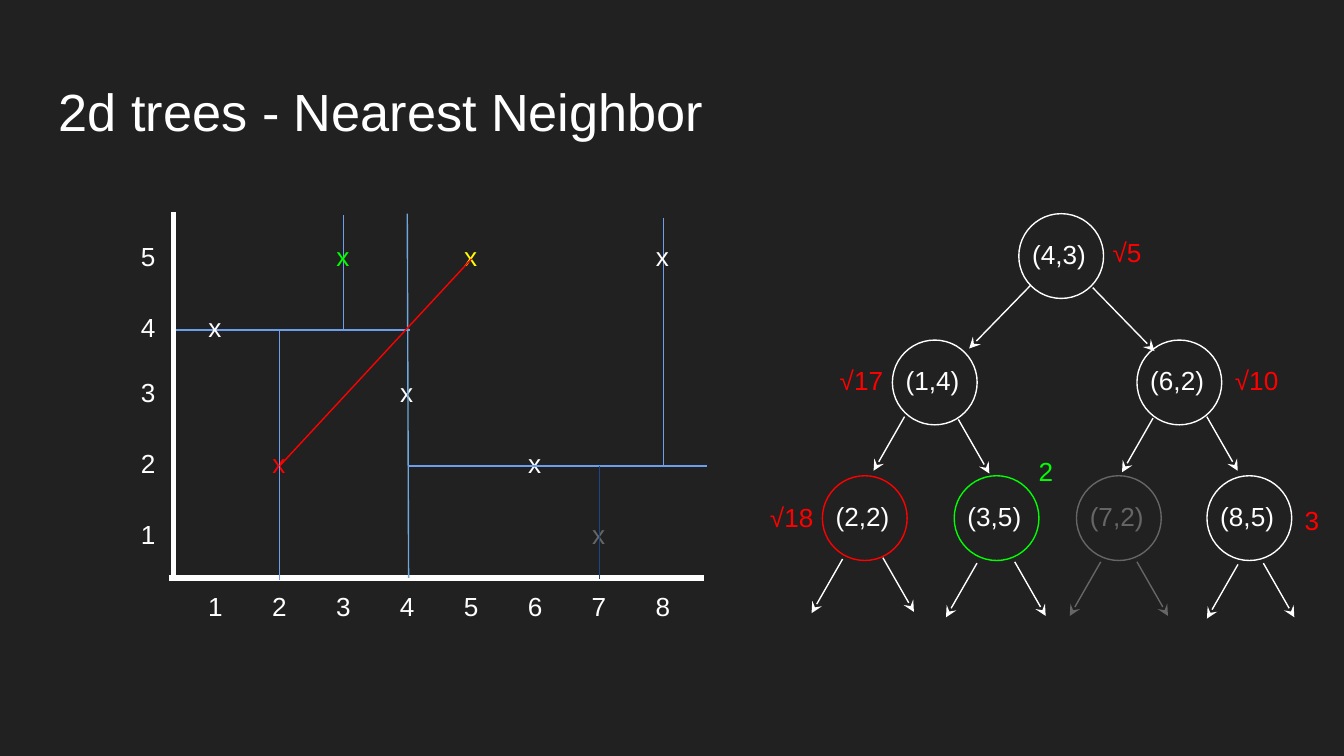
from lxml import etree
from pptx import Presentation
from pptx.dml.color import RGBColor
from pptx.enum.shapes import MSO_CONNECTOR, MSO_SHAPE
from pptx.enum.text import MSO_ANCHOR
from pptx.oxml.ns import qn
from pptx.util import Pt

LINE = MSO_CONNECTOR.STRAIGHT
OVAL = MSO_SHAPE.OVAL
TOP = MSO_ANCHOR.TOP

WHITE, RED, LIME, YELLOW = "FFFFFF", "FF0000", "00FF00", "FFFF00"
GREY, BLUE, SKY, NAVY = "666666", "6D9EEB", "6FA8DC", "1C4587"

ROWS = {1: 156.7, 2: 118.6, 3: 80.4, 4: 45.8, 5: 7.7}
POINTS = [
    (2, 2, RED), (4, 3, WHITE), (8, 5, WHITE), (7, 1, GREY),
    (6, 2, WHITE), (1, 4, WHITE), (3, 5, LIME), (5, 5, YELLOW),
]
NODES = [
    ("(4,3)", 140.8, 0.5, WHITE, WHITE, (6.5, 38.2), (39.6, 39.6), (33.1, 34)),
    ("(1,4)", 73.1, 68.2, WHITE, WHITE, (6.5, 41), (35.3, 42.5), (16.6, 29)),
    ("(6,2)", 204.1, 68.2, WHITE, WHITE, (8.6, 41.8), (37.4, 41), (16.6, 29)),
    ("(2,2)", 35.6, 140.9, RED, WHITE, (10.8, 44.6), (32.4, 43.9), (16.6, 29)),
    ("(3,5)", 106.2, 140.9, LIME, WHITE, (12.2, 46.8), (32.4, 46.1), (16.6, 29)),
    ("(7,2)", 171.7, 140.9, GREY, GREY, (13, 46.1), (32.4, 46.1), (16.6, 29)),
    ("(8,5)", 241.6, 140.9, WHITE, WHITE, (16.6, 47.5), (30.2, 46.8), (16.6, 29)),
]
NOTES = [
    ("√5", 184, 5.5, RED), ("√17", 37.8, 73.9, RED), ("√10", 249.5, 73.9, RED),
    ("√18", 0.4, 147.4, RED), ("2", 144.4, 122.9, LIME), ("3", 286.9, 148.8, RED),
]


def paint(code):
    return RGBColor.from_string(code)


def write(slide, text, x, y, w, h, size=14, color=WHITE):
    box = slide.shapes.add_textbox(Pt(x), Pt(y), Pt(w), Pt(h))
    frame = box.text_frame
    frame.word_wrap = True
    frame.vertical_anchor = TOP
    frame.margin_left = frame.margin_right = Pt(7.2)
    frame.margin_top = frame.margin_bottom = Pt(7.2)
    run = frame.paragraphs[0].add_run()
    run.text = text
    run.font.name = "Arial"
    run.font.size = Pt(size)
    run.font.color.rgb = paint(color)


def draw(slide, x1, y1, x2, y2, color=WHITE, width=0.75, arrow=False):
    link = slide.shapes.add_connector(LINE, Pt(x1), Pt(y1), Pt(x2), Pt(y2))
    link.line.color.rgb = paint(color)
    link.line.width = Pt(width)
    if arrow:
        edge = link.line._get_or_add_ln()
        etree.SubElement(edge, qn("a:tailEnd"), type="stealth", w="med", len="med")
    etree.SubElement(link._element.spPr, qn("a:effectLst"))


def title(slide, x, y, w, h):
    write(slide, "2d trees - Nearest Neighbor", x, y, w, h, size=28)


def plot(slide, x, y):
    def col(n):
        return 12.95 + 34.25 * n

    def row(n):
        return ROWS[n] + 17

    def rule(x1, y1, x2, y2, color=BLUE, width=0.75):
        draw(slide, x + x1, y + y1, x + x2, y + y2, color, width)

    rule(col(3), 1.2, col(3), row(4))
    rule(23, row(4), 151.2, row(4))
    rule(col(8), 2.6, col(8), row(2))
    rule(24.5, -0.2, 24.5, 194.9, WHITE, 3)
    rule(22.3, 195.6, 308.9, 195.6, WHITE, 3)

    for n in range(1, 9):
        write(slide, str(n), x + col(n) - 11.2, y + 194.9, 22.3, 38.2)
    for n, top in ROWS.items():
        write(slide, str(n), x, y + top, 22.3, 38.2)
    for a, b, color in POINTS:
        write(slide, "x", x + col(a) - 11, y + ROWS[b], 21.6, 28.8, color=color)

    rule(149.8, 0.5, 150.5, 195.6, SKY)
    rule(col(4), row(2), 310.3, row(2))
    rule(col(2), row(4), col(2), 197)
    rule(col(7), row(2), col(7), 196.3, NAVY)
    rule(col(5), row(5), col(2), row(2), RED)


def node(slide, x, y, text, ring, ink, left, right, reach):
    disc = slide.shapes.add_shape(OVAL, Pt(x), Pt(y), Pt(45.4), Pt(45.4))
    disc.shadow.inherit = False
    disc.fill.background()
    disc.line.color.rgb = paint(ring)
    disc.line.width = Pt(0.75)
    write(slide, text, x, y + 5.8, 49.7, 28.8, color=ink)
    for (dx, dy), side in ((left, -1), (right, 1)):
        x1, y1 = x + dx, y + dy
        draw(slide, x1, y1, x1 + side * reach[0], y1 + reach[1], ink, arrow=True)


def tree(slide, x, y):
    for text, dx, dy, *style in NODES:
        node(slide, x + dx, y + dy, text, *style)
    for text, dx, dy, color in NOTES:
        write(slide, text, x + dx, y + dy, 53.3, 29.5, color=color)


def main():
    deck = Presentation()
    deck.slide_width, deck.slide_height = Pt(720), Pt(405)
    slide = deck.slides.add_slide(deck.slide_layouts[6])
    slide.background.fill.solid()
    slide.background.fill.fore_color.rgb = paint("212121")
    title(slide, 24.5, 35.3, 671, 45.4)
    plot(slide, 68.4, 114)
    tree(slide, 405, 114)
    deck.save("out.pptx")


if __name__ == "__main__":
    main()
